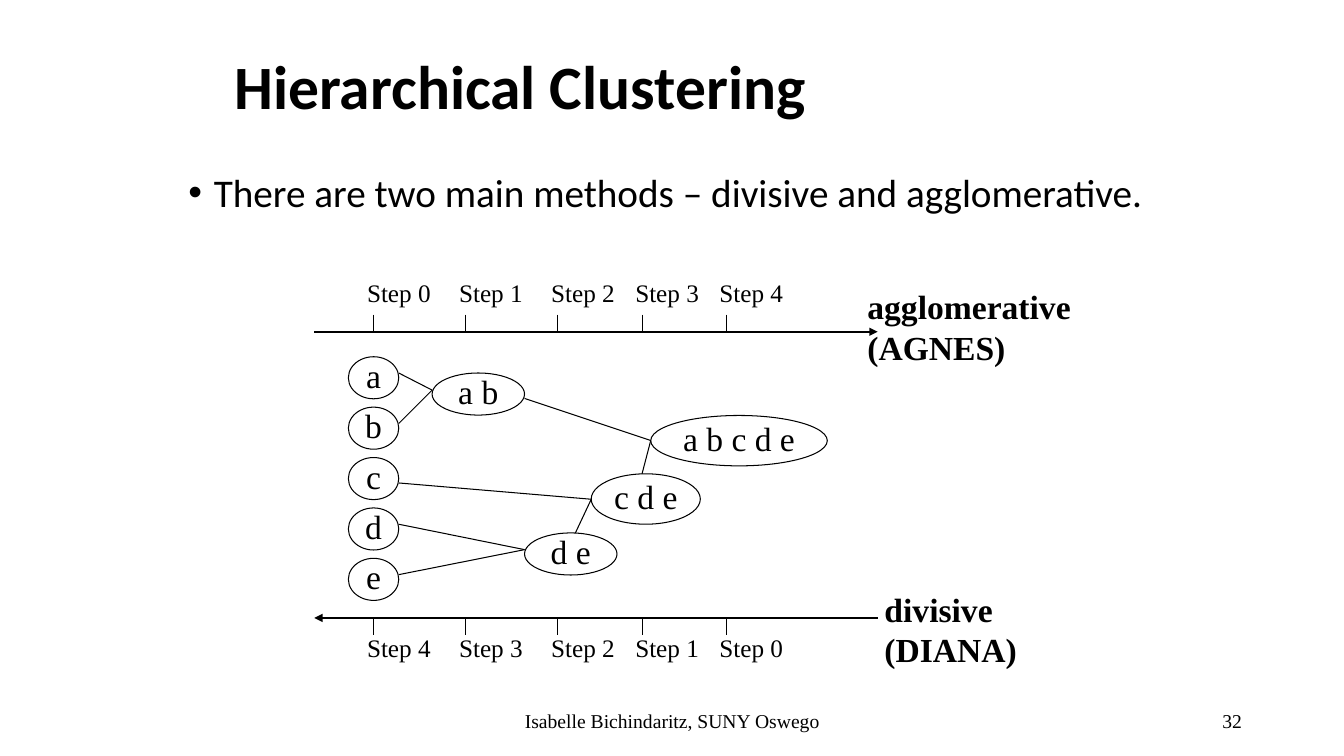
from lxml import etree
from pptx import Presentation
from pptx.dml.color import RGBColor
from pptx.enum.shapes import MSO_CONNECTOR, MSO_SHAPE
from pptx.enum.text import MSO_ANCHOR, PP_ALIGN
from pptx.oxml.ns import qn
from pptx.util import Cm, Pt

BLACK = RGBColor(0, 0, 0)
SANS, SERIF = "Calibri", "Times New Roman"
STRAIGHT, ELLIPSE = MSO_CONNECTOR.STRAIGHT, MSO_SHAPE.OVAL
TOP, MIDDLE = MSO_ANCHOR.TOP, MSO_ANCHOR.MIDDLE
LEFT, CENTER, RIGHT = PP_ALIGN.LEFT, PP_ALIGN.CENTER, PP_ALIGN.RIGHT

STEP_X = [1.5, 3.82, 6.14, 8.26, 10.38]
AXIS_LENGTH, TICK = 14.2, 0.43
LEAF_LEFT, LEAF_TOP, LEAF_PITCH = 0.86, 2.13, 1.27
LEAF_RIGHT = LEAF_LEFT + 1.27

CLUSTERS = [
    ("a b", 2.97, 2.54, 2.33, 1.06),
    ("d e", 5.3, 6.57, 2.33, 1.06),
    ("c d e", 6.98, 5.08, 2.75, 1.27),
    ("a b c d e", 8.48, 3.61, 4.45, 1.27),
]
MERGES = [
    ((2.97, 2.97), [(LEAF_RIGHT, 2.54), (LEAF_RIGHT, 3.81)]),
    ((5.3, 6.99), [(LEAF_RIGHT, 6.35), (LEAF_RIGHT, 7.62)]),
    ((6.98, 5.72), [(LEAF_RIGHT, 5.31), (6.58, 6.57)]),
    ((8.48, 4.24), [(5.3, 3.18), (8.26, 5.08)]),
]


def style(para, size, font=SERIF, bold=False, align=LEFT):
    """Set the font and alignment of a paragraph."""
    para.alignment = align
    para.font.name, para.font.size = font, Pt(size)
    para.font.bold, para.font.color.rgb = bold, BLACK


def add_bullet(para):
    """Give a paragraph a hanging round bullet."""
    properties = para._p.get_or_add_pPr()
    properties.set("marL", str(Cm(0.64)))
    properties.set("indent", str(-Cm(0.64)))
    etree.SubElement(properties, qn("a:buFont"), typeface="Arial")
    etree.SubElement(properties, qn("a:buChar"), char="•")


def add_text(shapes, box, lines, size, font=SERIF, bold=False, align=LEFT,
             anchor=TOP, wrap=True, bullet=False):
    """Add a text box with one paragraph per line and return its frame."""
    frame = shapes.add_textbox(*map(Cm, box)).text_frame
    frame.word_wrap, frame.vertical_anchor = wrap, anchor
    frame.text = "\n".join(lines)
    for para in frame.paragraphs:
        if bullet:
            add_bullet(para)
        style(para, size, font, bold, align)
    return frame


def add_line(shapes, start, end, width=0.75, arrow=False):
    """Draw a straight line, with an optional arrowhead at its end."""
    line = shapes.add_connector(STRAIGHT, *map(Cm, (*start, *end)))
    line.line.color.rgb, line.line.width = BLACK, Pt(width)
    if arrow:
        etree.SubElement(line.line._get_or_add_ln(), qn("a:tailEnd"), type="triangle")
    etree.SubElement(line._element.spPr, qn("a:effectLst"))


def add_cluster(shapes, label, box):
    """Draw an outlined ellipse holding a cluster label."""
    cluster = shapes.add_shape(ELLIPSE, *map(Cm, box))
    cluster.shadow.inherit = False
    cluster.fill.background()
    cluster.line.color.rgb, cluster.line.width = BLACK, Pt(0.75)
    frame = cluster.text_frame
    frame.margin_left = frame.margin_right = frame.margin_top = 0
    frame.margin_bottom = Cm(0.15)
    frame.word_wrap, frame.vertical_anchor = False, MIDDLE
    frame.text = label
    style(frame.paragraphs[0], 24, align=CENTER)


def add_axis(shapes, left, axis_y, tick_y, label_y, steps, forward):
    """Draw a step axis with its ticks and labels."""
    ends = [(left, axis_y), (left + AXIS_LENGTH, axis_y)]
    add_line(shapes, *(ends if forward else ends[::-1]), width=1.5, arrow=True)
    for x, step in zip(STEP_X, steps):
        add_line(shapes, (left + x, tick_y), (left + x, tick_y + TICK))
        add_text(shapes, (left + x - 0.42, label_y, 2.12, 1.02),
                 [f"Step {step}"], 18, wrap=False)


def add_diagram(page, left, top):
    """Draw the cluster tree between its two step axes."""
    shapes = page.shapes.add_group_shape().shapes
    add_axis(shapes, left, top + 1.5, top + 1.5 - TICK, top, range(5), True)
    add_axis(shapes, left, top + 8.71, top + 8.71, top + 8.94, range(4, -1, -1), False)
    for row, leaf in enumerate("abcde"):
        add_cluster(shapes, leaf, (left + LEAF_LEFT, top + LEAF_TOP + row * LEAF_PITCH, 1.27, 1.06))
    for label, x, y, width, height in CLUSTERS:
        add_cluster(shapes, label, (left + x, top + y, width, height))
    for (end_x, end_y), starts in MERGES:
        for x, y in starts:
            add_line(shapes, (left + x, top + y), (left + end_x, top + end_y))
    add_text(shapes, (left + 13.69, top + 0.23, 5.64, 2.29),
             ["agglomerative", "(AGNES)"], 24, bold=True, wrap=False)
    add_text(shapes, (left + 14.12, top + 7.85, 3.86, 2.29),
             ["divisive", "(DIANA)"], 24, bold=True, wrap=False)


def add_heading(page, left, top):
    """Add the title and the bulleted statement under it."""
    title = add_text(page.shapes, (left + 1.16, top, 21.59, 3.18),
                     ["Hierarchical Clustering"], 44, SANS, True, anchor=MIDDLE)
    body = add_text(page.shapes, (left, top + 3.58, 25.15, 12.75),
                    ["There are two main methods – divisive and agglomerative."],
                    28, SANS, bullet=True)
    for frame in (title, body):
        frame.paragraphs[0].line_spacing = 0.9


def add_footer(page, left, top):
    """Add the author line and the page number."""
    add_text(page.shapes, (left, top, 11.43, 1.02),
             ["Isabelle Bichindaritz, SUNY Oswego"], 14, align=CENTER, anchor=MIDDLE)
    add_text(page.shapes, (left + 12.7, top, 7.62, 1.02),
             ["32"], 14, align=RIGHT, anchor=MIDDLE)


def main():
    """Build the deck and save it."""
    deck = Presentation()
    deck.slide_width, deck.slide_height = Cm(33.87), Cm(19.05)
    page = deck.slides.add_slide(deck.slide_layouts[6])
    add_heading(page, 4.5, 0.66)
    add_diagram(page, 7.92, 6.86)
    add_footer(page, 11.23, 17.65)
    deck.save("out.pptx")


if __name__ == "__main__":
    main()
